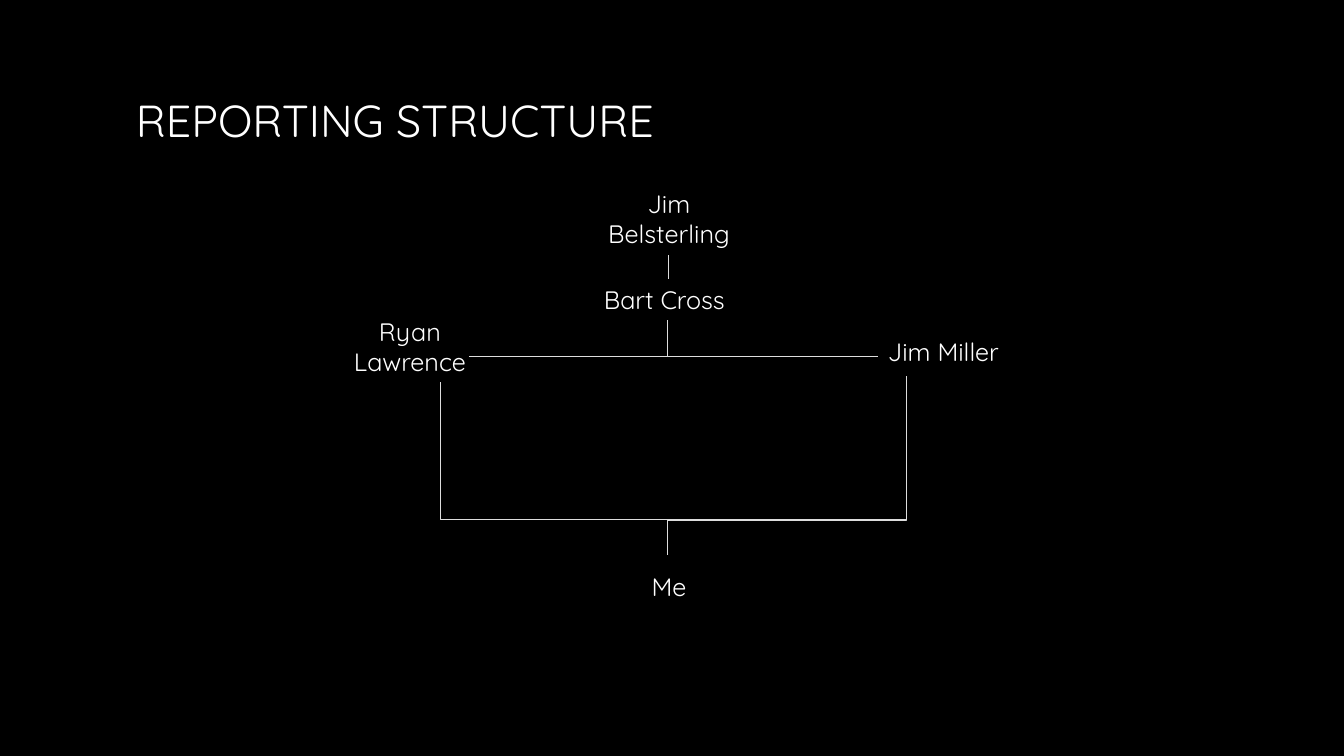
from dataclasses import dataclass

from lxml.etree import SubElement
from pptx import Presentation
from pptx.dml.color import RGBColor
from pptx.enum.shapes import MSO_CONNECTOR
from pptx.enum.text import MSO_ANCHOR, MSO_AUTO_SIZE, PP_ALIGN
from pptx.oxml.ns import qn
from pptx.util import Emu, Pt

# Content: text, left, top, width, height, alignment
TITLE = ("REPORTING STRUCTURE", 126, 68, 1092, 103, PP_ALIGN.LEFT)
PEOPLE = [
    ("Jim Belsterling", 594, 183, 150, 72, PP_ALIGN.CENTER),
    ("Bart Cross", 594, 279, 150, 40, PP_ALIGN.LEFT),
    ("Ryan Lawrence", 335, 311, 150, 72, PP_ALIGN.CENTER),
    ("Jim Miller", 878, 331, 150, 40, PP_ALIGN.LEFT),
    ("Me", 594, 566, 150, 40, PP_ALIGN.CENTER),
]

# Levels the lines run along
TRUNK_X = 668
MANAGER_BASE, MANAGER_BUS = 320, 357
REPORT_BUS, REPORT_END = 520, 555

# Elbows run sideways from the first point, then up to the second
ELBOWS = [
    ((469, MANAGER_BUS), (TRUNK_X, MANAGER_BASE)),
    ((878, MANAGER_BUS), (TRUNK_X, MANAGER_BASE)),
    ((TRUNK_X, REPORT_BUS), (441, 382)),
    ((TRUNK_X, REPORT_BUS), (907, 376)),
]


@dataclass(frozen=True)
class Theme:
    background: RGBColor = RGBColor(0x00, 0x00, 0x00)
    text: RGBColor = RGBColor(0xFF, 0xFF, 0xFF)
    line: RGBColor = RGBColor(0xDD, 0xDD, 0xDD)
    font: str = "Quicksand"
    title_size: Pt = Pt(32)
    name_size: Pt = Pt(18)
    line_width: Pt = Pt(0.75)


THEME = Theme()


def px(value):
    return Emu(round(value * 914400 / 100.8))


def add_text(slide, item, size):
    text, left, top, width, height, alignment = item
    box = slide.shapes.add_textbox(px(left), px(top), px(width), px(height))
    text_frame = box.text_frame
    text_frame.text = text
    text_frame.word_wrap = True
    paragraph = text_frame.paragraphs[0]
    paragraph.alignment = alignment
    font = paragraph.runs[0].font
    font.name, font.size = THEME.font, size
    font.color.rgb = THEME.text
    return box


def add_line(slide, start, end, kind=MSO_CONNECTOR.STRAIGHT):
    connector = slide.shapes.add_connector(kind, *map(px, start + end))
    connector.line.color.rgb = THEME.line
    connector.line.width = THEME.line_width
    properties = connector._element.spPr
    SubElement(properties, qn("a:effectLst"))
    if kind == MSO_CONNECTOR.ELBOW:
        # Move the bend to the far end
        adjustments = properties.find(qn("a:prstGeom")).find(qn("a:avLst"))
        SubElement(adjustments, qn("a:gd"), name="adj1", fmla="val 100000")
    return connector


def main():
    presentation = Presentation()
    presentation.slide_width, presentation.slide_height = px(1344), px(756)
    slide = presentation.slides.add_slide(presentation.slide_layouts[6])
    slide.background.fill.solid()
    slide.background.fill.fore_color.rgb = THEME.background

    # Title
    title = add_text(slide, TITLE, THEME.title_size)
    title.text_frame.vertical_anchor = MSO_ANCHOR.MIDDLE

    # Branching lines and the stem down to the last name
    for start, end in ELBOWS:
        add_line(slide, start, end, MSO_CONNECTOR.ELBOW)
    add_line(slide, (TRUNK_X, REPORT_END), (TRUNK_X, REPORT_BUS))

    # Names
    boxes = {}
    for person in PEOPLE:
        box = add_text(slide, person, THEME.name_size)
        box.text_frame.auto_size = MSO_AUTO_SIZE.SHAPE_TO_FIT_TEXT
        boxes[person[0]] = box

    # Link between the top two names
    link = add_line(slide, (669, 279), (669, 255))
    link.begin_connect(boxes["Bart Cross"], 0)
    link.end_connect(boxes["Jim Belsterling"], 2)

    presentation.save("out.pptx")


if __name__ == "__main__":
    main()
